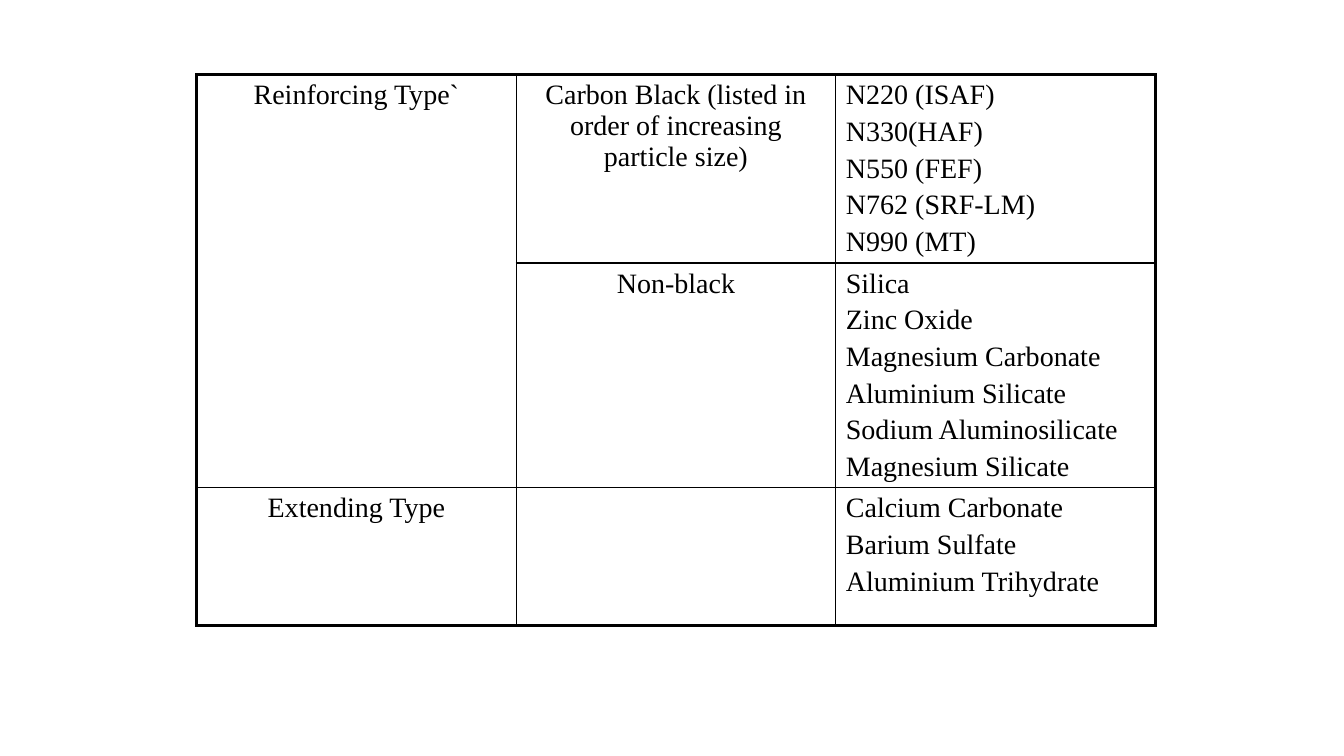
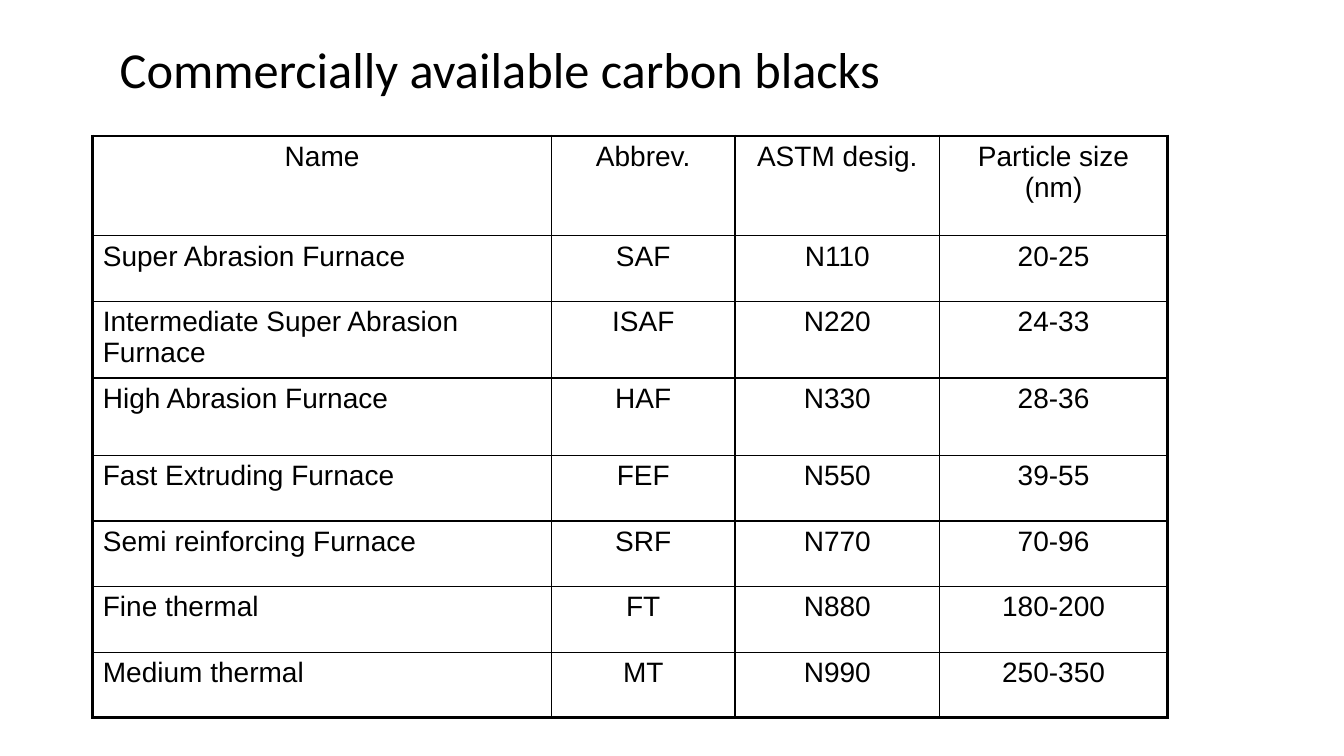
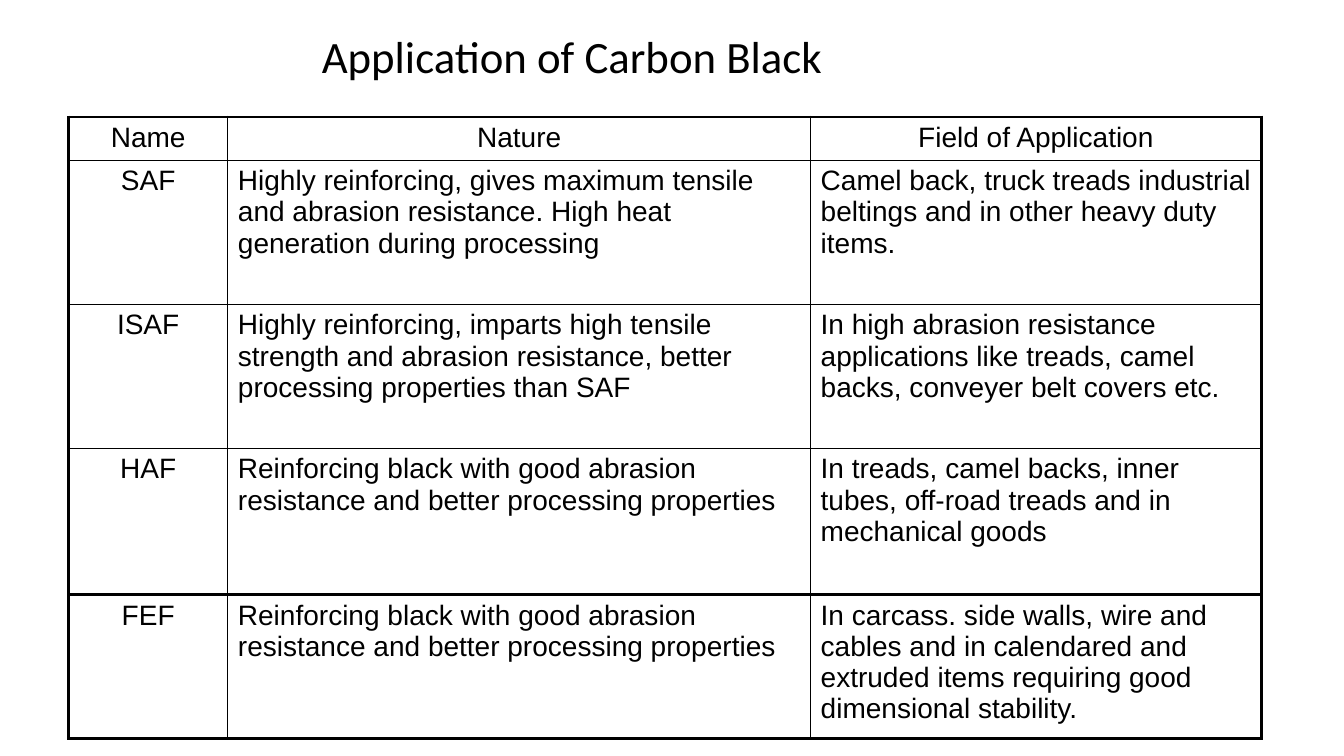
import pptx
import pptx.util
import pptx.dml.color
import pptx.enum.text
import pptx.oxml
import pptx.oxml.ns

Inches = pptx.util.Inches
Pt = pptx.util.Pt
ALIGN = pptx.enum.text.PP_ALIGN
BLACK = pptx.dml.color.RGBColor(0, 0, 0)
THIN, THICK = 1, 2.25
TITLE_ONLY, BLANK = 5, 6

SLIDES = [
    {
        "at": (1.95, 0.74),
        "font": "Times New Roman",
        "cols": [3.17, 3.17, 3.17],
        "row_heights": [1.87, 2.22, 1.37],
        "align": "ccl",
        "merge": ((0, 0), (1, 0)),
        "rows": [
            ["Reinforcing Type`",
             "Carbon Black (listed in order of increasing particle size)",
             "N220 (ISAF)\nN330(HAF)\nN550 (FEF)\nN762 (SRF-LM)\nN990 (MT)"],
            ["", "Non-black",
             "Silica\nZinc Oxide\nMagnesium Carbonate\nAluminium Silicate\n"
             "Sodium Aluminosilicate\nMagnesium Silicate"],
            ["Extending Type", "",
             "Calcium Carbonate\nBarium Sulfate\nAluminium Trihydrate"],
        ],
    },
    {
        "title": ("Commercially available carbon blacks", 36, (0.92, 0.33, 8.08, 0.71)),
        "at": (0.92, 1.35),
        "font": "Arial",
        "cols": [4.55, 1.82, 2.03, 2.26],
        "row_heights": [0.99, 0.65, 0.76, 0.77, 0.65, 0.65, 0.65, 0.65],
        "align": "lccc",
        "header": True,
        "rows": [
            ["Name", "Abbrev.", "ASTM desig.", "Particle size (nm)"],
            ["Super Abrasion Furnace", "SAF", "N110", "20-25"],
            ["Intermediate Super Abrasion Furnace", "ISAF", "N220", "24-33"],
            ["High Abrasion Furnace", "HAF", "N330", "28-36"],
            ["Fast Extruding Furnace", "FEF", "N550", "39-55"],
            ["Semi reinforcing Furnace", "SRF", "N770", "70-96"],
            ["Fine thermal", "FT", "N880", "180-200"],
            ["Medium thermal", "MT", "N990", "250-350"],
        ],
    },
    {
        "title": ("Application of Carbon Black", 32, (2.05, 0.23, 7.25, 0.64)),
        "at": (0.68, 1.16),
        "font": "Arial",
        "cols": [1.58, 5.78, 4.47],
        "row_heights": [0.43, 1.43, 1.43, 1.45, 1.43],
        "align": "cll",
        "header": True,
        "thick_above": 4,
        "rows": [
            ["Name", "Nature", "Field of Application"],
            ["SAF",
             "Highly reinforcing, gives maximum tensile and abrasion resistance. "
             "High heat generation during processing",
             "Camel back, truck treads industrial beltings and in other heavy duty items."],
            ["ISAF",
             "Highly reinforcing, imparts high tensile strength and abrasion resistance, "
             "better processing properties than SAF",
             "In high abrasion resistance applications like treads, camel backs, "
             "conveyer belt covers etc."],
            ["HAF",
             "Reinforcing black with good abrasion resistance and better processing properties",
             "In treads, camel backs, inner tubes, off-road treads and in mechanical goods"],
            ["FEF",
             "Reinforcing black with good abrasion resistance and better processing properties",
             "In carcass. side walls, wire and cables and in calendared and extruded items "
             "requiring good dimensional stability."],
        ],
    },
]


def write_text(tf, text, font, size=20, align=ALIGN.LEFT, gap=4):
    for i, line in enumerate(text.split("\n")):
        p = tf.add_paragraph() if i else tf.paragraphs[0]
        p.alignment = align
        p.space_before = Pt(gap if i else 0)
        p.font.size = Pt(size)
        if line:
            r = p.add_run()
            r.text = line
            r.font.name = font
            r.font.size = Pt(size)
            r.font.color.rgb = BLACK


def add_title(s, text, size, box):
    sp = s.shapes.title
    sp.left, sp.top, sp.width, sp.height = map(Inches, box)
    tf = sp.text_frame
    tf.word_wrap = True
    tf.auto_size = pptx.enum.text.MSO_AUTO_SIZE.NONE
    tf.vertical_anchor = pptx.enum.text.MSO_ANCHOR.TOP
    write_text(tf, text, "Calibri", size=size, align=ALIGN.CENTER)


def set_borders(cell, widths):
    props = cell._tc.get_or_add_tcPr()
    for side, width in zip("LRTB", widths):
        props.append(pptx.oxml.parse_xml(
            f'<a:ln{side} {pptx.oxml.ns.nsdecls("a")} w="{Pt(width)}">'
            f'<a:solidFill><a:srgbClr val="{BLACK}"/></a:solidFill></a:ln{side}>'))


def add_grid(s, data):
    rows, cols, heights = data["rows"], data["cols"], data["row_heights"]
    left, top = data["at"]
    table = s.shapes.add_table(
        len(rows), len(cols), Inches(left), Inches(top),
        Inches(sum(cols)), Inches(sum(heights))).table
    table.first_row = table.horz_banding = False
    for col, width in zip(table.columns, cols):
        col.width = Inches(width)
    for row, height in zip(table.rows, heights):
        row.height = Inches(height)

    thick_rows = {0, len(rows), data.get("thick_above", 0)}
    thick_cols = {0, len(cols)}
    for i, texts in enumerate(rows):
        for j, text in enumerate(texts):
            cell = table.cell(i, j)
            edges = [j in thick_cols, j + 1 in thick_cols,
                     i in thick_rows, i + 1 in thick_rows]
            set_borders(cell, [THICK if e else THIN for e in edges])
            cell.fill.background()
            centred = data["align"][j] == "c" or (i == 0 and data.get("header"))
            write_text(cell.text_frame, text, data["font"],
                       align=ALIGN.CENTER if centred else ALIGN.LEFT)
    if "merge" in data:
        first, last = data["merge"]
        table.cell(*first).merge(table.cell(*last))


def main():
    prs = pptx.Presentation()
    prs.slide_width, prs.slide_height = Inches(13.33), Inches(7.5)
    for data in SLIDES:
        layout = TITLE_ONLY if "title" in data else BLANK
        s = prs.slides.add_slide(prs.slide_layouts[layout])
        if "title" in data:
            add_title(s, *data["title"])
        add_grid(s, data)
    prs.save("out.pptx")


if __name__ == "__main__":
    main()
